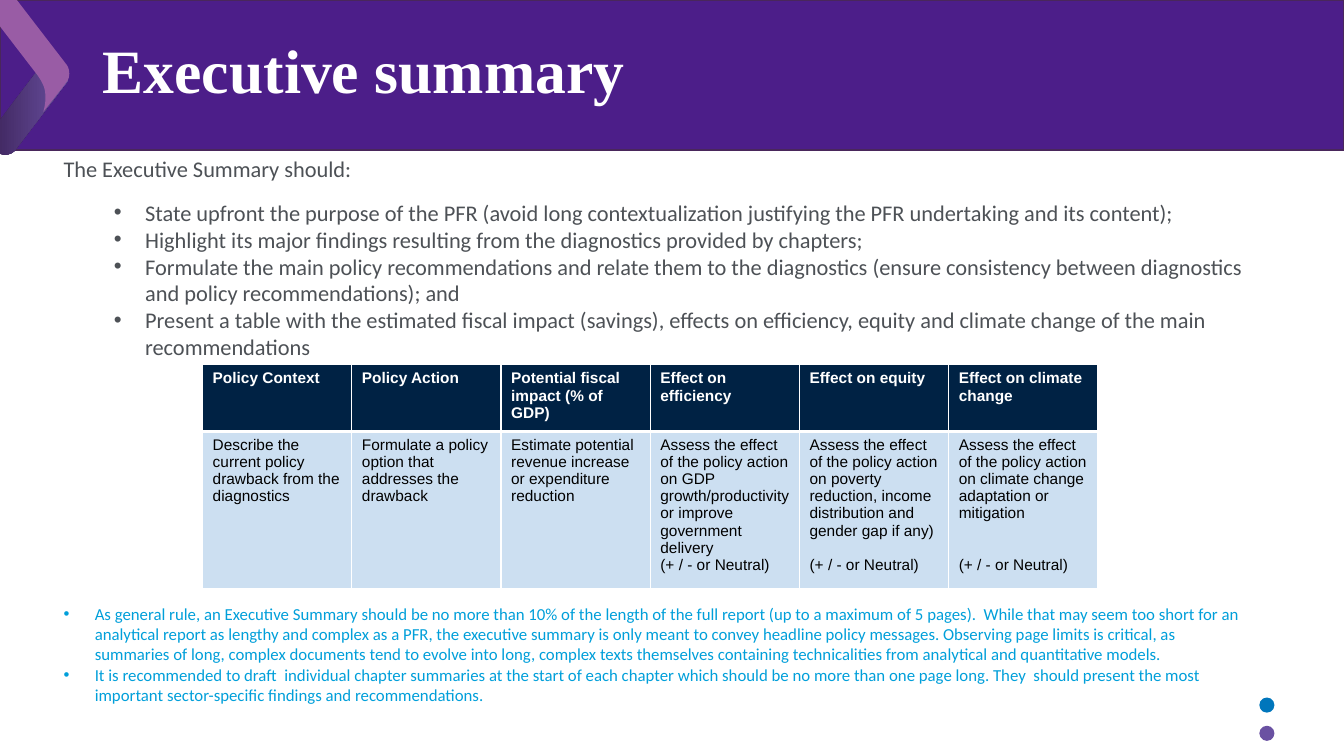
from dataclasses import dataclass

import pptx
import pptx.dml.color
import pptx.enum.shapes
import pptx.enum.text
import pptx.oxml
import pptx.oxml.ns
import pptx.util
from pptx.dml.color import RGBColor
from pptx.util import Inches, Pt

WHITE = RGBColor(0xFF, 0xFF, 0xFF)
BLACK = RGBColor(0x00, 0x00, 0x00)
PURPLE = RGBColor(0x4C, 0x1E, 0x89)
PLUM = RGBColor(0x49, 0x27, 0x5B)
DARK_VIOLET = RGBColor(0x3D, 0x24, 0x5B)
VIOLET = RGBColor(0x6A, 0x51, 0xA2)
MAUVE = RGBColor(0x99, 0x5C, 0xA5)
BLUE = RGBColor(0x00, 0x76, 0xBC)
SKY = RGBColor(0x00, 0x9F, 0xDA)
GREY = RGBColor(0x4D, 0x51, 0x56)
NAVY = RGBColor(0x00, 0x22, 0x44)
PALE_BLUE = RGBColor(0xCC, 0xDF, 0xF1)

CURVE_STEPS = 10
BULLET_HANG = 0.31
LINE_PITCH = 12.4


@dataclass
class Entry:
    text: str
    margin: float = 0.0
    space_before: float = 0.0


@dataclass
class PolicyColumn:
    heading: str
    guidance: str
    rating: str = ""
    blank_lines: int = 0


@dataclass
class Dot:
    left: float
    top: float
    color: RGBColor


LOWER_CHEVRON = [
    (0.15, 1.49), (0.66, 0.82),
    (0.70, 0.77, 0.69, 0.69, 0.63, 0.65), (0.60, 0.62),
    (0.55, 0.58, 0.47, 0.59, 0.42, 0.64), (-0.09, 1.31),
    (-0.13, 1.36, -0.12, 1.44, -0.06, 1.49), (-0.03, 1.51),
    (0.03, 1.55, 0.11, 1.54, 0.15, 1.49),
]
UPPER_CHEVRON = [
    (0.36, 0.73), (-0.07, 0.17),
    (-0.12, 0.10, -0.11, 0.01, -0.05, -0.04),
    (0.02, -0.09, 0.11, -0.07, 0.16, -0.01), (0.66, 0.64),
    (0.69, 0.68, 0.70, 0.75, 0.67, 0.80),
    (0.66, 0.82, 0.43, 1.11, 0.43, 1.11),
    (0.43, 1.11, 0.46, 1.02, 0.45, 0.93),
    (0.45, 0.84, 0.36, 0.73, 0.36, 0.73),
]
DOTS = [Dot(12.49, 6.92, BLUE), Dot(12.49, 7.2, VIOLET)]

REQUIREMENTS = [
    Entry("The Executive Summary should:"),
    Entry("State upfront the purpose of the PFR (avoid long contextualization justifying "
          "the PFR undertaking and its content);", 0.81, 12),
    Entry("Highlight its major findings resulting from the diagnostics provided by chapters;", 0.81),
    Entry("Formulate the main policy recommendations and relate them to the diagnostics "
          "(ensure consistency between diagnostics and policy recommendations); and", 0.81),
    Entry("Present a table with the estimated fiscal impact (savings), effects on efficiency, "
          "equity and climate change of the main recommendations", 0.81),
]
LENGTH_RULES = [
    Entry("As general rule, an Executive Summary should be no more than 10% of the length of the "
          "full report (up to a maximum of 5 pages).  While that may seem too short for an "
          "analytical report as lengthy and complex as a PFR, the executive summary is only meant "
          "to convey headline policy messages. Observing page limits is critical, as summaries of "
          "long, complex documents tend to evolve into long, complex texts themselves containing "
          "technicalities from analytical and quantitative models.", 0.31),
    Entry("It is recommended to draft  individual chapter summaries at the start of each chapter "
          "which should be no more than one page long. They  should present the most important "
          "sector-specific findings and recommendations.", 0.31),
]
RATING = "(+ / - or Neutral)"
POLICY_COLUMNS = [
    PolicyColumn("Policy Context", "Describe the current policy drawback from the diagnostics"),
    PolicyColumn("Policy Action", "Formulate a policy option that addresses the drawback"),
    PolicyColumn("Potential fiscal impact (% of GDP)",
                 "Estimate potential revenue increase or expenditure reduction"),
    PolicyColumn("Effect on efficiency", "Assess the effect of the policy action on GDP "
                 "growth/productivity or improve government delivery", RATING),
    PolicyColumn("Effect on equity", "Assess the effect of the policy action on poverty "
                 "reduction, income distribution and gender gap if any)", RATING, 1),
    PolicyColumn("Effect on climate change", "Assess the effect of the policy action on climate "
                 "change adaptation or mitigation", RATING, 2),
]


def place(shape, left: float, top: float, width: float, height: float) -> None:
    shape.left, shape.top = Inches(left), Inches(top)
    shape.width, shape.height = Inches(width), Inches(height)


def style_font(font, name: str, size: float, color: RGBColor, bold: bool = False) -> None:
    font.name, font.size, font.bold = name, Pt(size), bold
    font.color.rgb = color


def draw_outline(slide, segments: list[tuple[float, ...]]):
    points = [segments[0]]
    for segment in segments[1:]:
        if len(segment) == 2:
            points.append(segment)
            continue
        x0, y0 = points[-1]
        x1, y1, x2, y2, x3, y3 = segment
        for step in range(1, CURVE_STEPS + 1):
            t = step / CURVE_STEPS
            u = 1 - t
            a, b, c, d = u**3, 3 * u * u * t, 3 * u * t * t, t**3
            points.append((a * x0 + b * x1 + c * x2 + d * x3, a * y0 + b * y1 + c * y2 + d * y3))
    start, *rest = [(Inches(x), Inches(y)) for x, y in points]
    builder = slide.shapes.build_freeform(*start)
    builder.add_line_segments(rest, close=True)
    outline = builder.convert_to_shape()
    outline.shadow.inherit = False
    outline.line.fill.background()
    return outline


def draw_decoration(slide) -> None:
    kinds = pptx.enum.shapes.MSO_SHAPE
    band = slide.shapes.add_shape(kinds.RECTANGLE, 0, 0, Inches(13.33), Inches(1.49))
    band.shadow.inherit = False
    band.fill.solid()
    band.fill.fore_color.rgb = PURPLE
    band.line.color.rgb = PLUM
    band.line.width = Pt(1)

    lower = draw_outline(slide, LOWER_CHEVRON)
    lower.fill.gradient()
    lower.fill.gradient_angle = 0
    for stop, color in zip(lower.fill.gradient_stops, (DARK_VIOLET, VIOLET)):
        stop.color.rgb = color
    upper = draw_outline(slide, UPPER_CHEVRON)
    upper.fill.solid()
    upper.fill.fore_color.rgb = MAUVE

    for dot in DOTS:
        circle = slide.shapes.add_shape(
            kinds.OVAL, Inches(dot.left), Inches(dot.top), Inches(0.15), Inches(0.15))
        circle.shadow.inherit = False
        circle.fill.solid()
        circle.fill.fore_color.rgb = dot.color
        circle.line.fill.background()


def fill_list(body, entries: list[Entry], size: float, color: RGBColor) -> None:
    frame = body.text_frame
    frame.word_wrap = True
    frame.auto_size = pptx.enum.text.MSO_AUTO_SIZE.NONE
    frame.vertical_anchor = pptx.enum.text.MSO_ANCHOR.TOP
    for index, entry in enumerate(entries):
        paragraph = frame.add_paragraph() if index else frame.paragraphs[0]
        paragraph.text = entry.text
        paragraph.space_before = Pt(entry.space_before)
        properties = paragraph._p.get_or_add_pPr()
        properties.set("marL", str(Inches(entry.margin)))
        properties.set("indent", str(-Inches(BULLET_HANG) if entry.margin else 0))
        bullet = pptx.oxml.parse_xml(
            f'<a:{"buChar" if entry.margin else "buNone"} {pptx.oxml.ns.nsdecls("a")}/>')
        if entry.margin:
            bullet.set("char", "•")
        properties.append(bullet)
        style_font(paragraph.font, "Calibri", size, color)


def style_cell(cell, fill: RGBColor, top: float, bottom: float) -> None:
    properties = cell._tc.get_or_add_tcPr()
    for side, width in (("L", 1), ("R", 1), ("T", top), ("B", bottom)):
        properties.append(pptx.oxml.parse_xml(
            f'<a:ln{side} {pptx.oxml.ns.nsdecls("a")} w="{Pt(width)}">'
            f'<a:solidFill><a:srgbClr val="{WHITE}"/></a:solidFill></a:ln{side}>'))
    cell.fill.solid()
    cell.fill.fore_color.rgb = fill


def draw_policy_table(slide) -> None:
    table = slide.shapes.add_table(
        2, len(POLICY_COLUMNS), Inches(2.01), Inches(3.62), Inches(8.88), Inches(2.22)).table
    table.rows[0].height, table.rows[1].height = Inches(0.66), Inches(1.56)
    for index, column in enumerate(POLICY_COLUMNS):
        table.columns[index].width = Inches(1.48)
        heading, guidance = table.cell(0, index), table.cell(1, index)
        heading.text, guidance.text = column.heading, column.guidance
        style_cell(heading, NAVY, 1, 3)
        style_cell(guidance, PALE_BLUE, 3, 1)
        style_font(heading.text_frame.paragraphs[0].font, "Arial", 11, WHITE, True)
        if column.rating:
            rating = guidance.text_frame.add_paragraph()
            rating.text = column.rating
            rating.space_before = Pt(column.blank_lines * LINE_PITCH)
        for paragraph in guidance.text_frame.paragraphs:
            style_font(paragraph.font, "Arial", 11, BLACK)


def main() -> None:
    deck = pptx.Presentation()
    deck.slide_width, deck.slide_height = Inches(13.33), Inches(7.5)
    slide = deck.slides.add_slide(deck.slide_layouts[3])
    title, requirements, length_rules = slide.placeholders

    draw_decoration(slide)
    for placeholder in (title, requirements, length_rules):
        slide.shapes.element.append(placeholder.element)

    place(title, 0.92, 0.24, 11.5, 1.25)
    title.text_frame.text = "Executive summary"
    title.text_frame.auto_size = pptx.enum.text.MSO_AUTO_SIZE.NONE
    title.text_frame.vertical_anchor = pptx.enum.text.MSO_ANCHOR.MIDDLE
    title.text_frame.margin_bottom = Inches(0.41)
    heading = title.text_frame.paragraphs[0]
    heading.alignment = pptx.enum.text.PP_ALIGN.LEFT
    style_font(heading.font, "Times New Roman", 44, WHITE, True)

    place(requirements, 0.53, 1.49, 12.02, 2.1)
    fill_list(requirements, REQUIREMENTS, 16, GREY)
    place(length_rules, 0.53, 5.94, 12.02, 1.15)
    fill_list(length_rules, LENGTH_RULES, 12, SKY)
    draw_policy_table(slide)
    deck.save("out.pptx")


if __name__ == "__main__":
    main()
